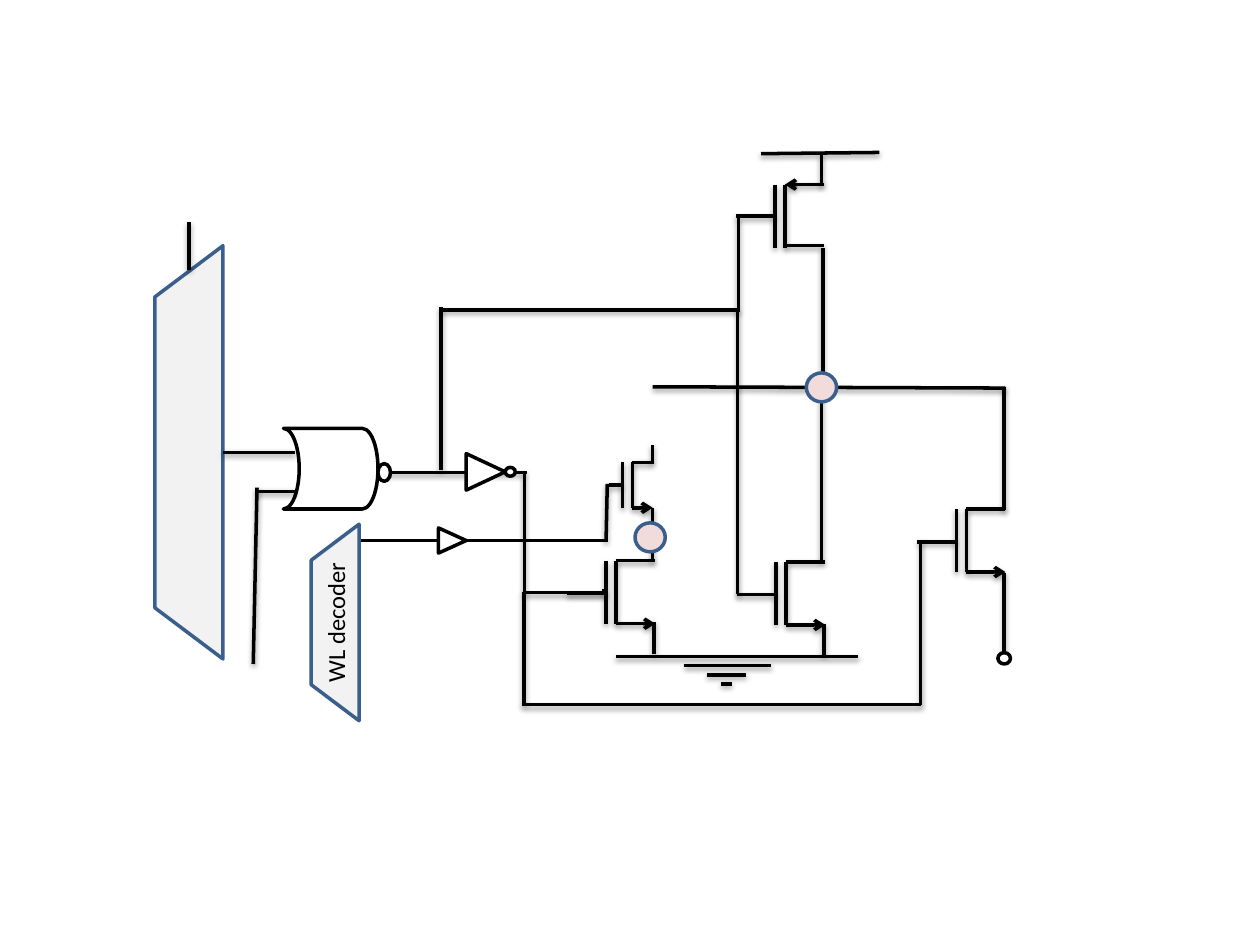
from lxml.etree import SubElement
from pptx import Presentation
from pptx.dml.color import RGBColor
from pptx.enum.shapes import MSO_CONNECTOR, MSO_SHAPE
from pptx.enum.text import MSO_AUTO_SIZE, PP_ALIGN
from pptx.oxml.ns import qn
from pptx.util import Inches, Pt

BLACK = RGBColor(0x00, 0x00, 0x00)
WHITE = RGBColor(0xFF, 0xFF, 0xFF)
GREY = RGBColor(0xF2, 0xF2, 0xF2)
PINK = RGBColor(0xF2, 0xDC, 0xDB)
BLUE = RGBColor(0x3A, 0x5F, 0x8C)

COLUMNS, ROWS = 100, 75


class Circuit:
    font = "Calibri"
    text_size = Pt(14)
    stroke = Pt(2)

    def __init__(self, deck):
        self.page = deck.slides.add_slide(deck.slide_layouts[6])
        self.column = deck.slide_width / COLUMNS
        self.row = deck.slide_height / ROWS

    def place(self, *lengths):
        units = (self.column, self.row) * 2
        return [round(length * unit) for length, unit in zip(lengths, units)]

    def wire(self, *ends, kind=MSO_CONNECTOR.STRAIGHT, arrow=False, shadow=True):
        wire = self.page.shapes.add_connector(kind, *self.place(*ends))
        wire.line.color.rgb = BLACK
        wire.line.width = self.stroke
        properties = wire.element.spPr
        if arrow:
            SubElement(properties.find(qn("a:ln")), qn("a:tailEnd"), type="arrow")
        effects = SubElement(properties, qn("a:effectLst"))
        if shadow:
            outer = SubElement(effects, qn("a:outerShdw"), blurRad=str(Pt(3.1)),
                               dist=str(Pt(1.6)), dir="5400000", rotWithShape="0")
            color = SubElement(outer, qn("a:srgbClr"), val=str(BLACK))
            SubElement(color, qn("a:alpha"), val="38000")
        return wire

    def elbow(self, *ends, bend, rotation=0):
        properties = self.wire(*ends, kind=MSO_CONNECTOR.ELBOW).element.spPr
        guides = properties.find(qn("a:prstGeom")).find(qn("a:avLst"))
        SubElement(guides, qn("a:gd"), name="adj1", fmla=f"val {round(bend * 100000)}")
        if rotation:
            properties.find(qn("a:xfrm")).set("rot", str(rotation * 60000))

    def symbol(self, kind, *frame, fill=WHITE, line=BLACK, rotation=0, flip=False):
        symbol = self.page.shapes.add_shape(kind, *self.place(*frame))
        symbol.shadow.inherit = False
        symbol.fill.solid()
        symbol.fill.fore_color.rgb = fill
        symbol.line.color.rgb = line
        symbol.line.width = self.stroke
        symbol.rotation = rotation
        if flip:
            symbol.element.spPr.find(qn("a:xfrm")).set("flipH", "1")
        return symbol

    def decoder(self, *frame):
        block = self.symbol(MSO_SHAPE.TRAPEZOID, *frame, fill=GREY, line=BLUE, rotation=270)
        block.adjustments[0] = 0.752

    def node(self, left, top):
        self.symbol(MSO_SHAPE.OVAL, left, top, 2.4, 2.3, fill=PINK, line=BLUE)

    def label(self, text, *frame):
        box = self.page.shapes.add_textbox(*self.place(*frame))
        box.rotation = 270
        text_frame = box.text_frame
        text_frame.word_wrap = True
        text_frame.auto_size = MSO_AUTO_SIZE.SHAPE_TO_FIT_TEXT
        text_frame.text = text
        para = text_frame.paragraphs[0]
        para.alignment = PP_ALIGN.LEFT
        para.font.name = self.font
        para.font.size = self.text_size
        para.font.color.rgb = BLACK

    def transistor(self, x, top, height=5, reach=3.1, gate=3.1, gate_drop=2.6, p_type=False):
        bottom = top + height
        plate = x - 0.8
        self.wire(x, top, x, bottom)
        if p_type:
            self.wire(x + reach, top, x, top, arrow=True)
            self.wire(x, bottom - 0.15, x + reach, bottom - 0.15)
        else:
            self.wire(x, bottom, x + reach, bottom, arrow=True)
            self.wire(x, top, x + reach, top)
        self.wire(plate, top, plate, bottom)
        self.wire(plate - gate, top + gate_drop, plate, top + gate_drop)


def main():
    deck = Presentation()
    deck.slide_width, deck.slide_height = Inches(10), Inches(7.5)
    circuit = Circuit(deck)

    circuit.wire(48, 42.9, 28.2, 42.9, shadow=False)
    circuit.symbol(MSO_SHAPE.ISOSCELES_TRIANGLE, 34.9, 41.8, 2, 2.2, rotation=90)
    circuit.decoder(18.8, 47.5, 15.6, 3.8)
    circuit.label("WL decoder", 19.7, 46.5, 13.9, 3.4)
    circuit.wire(30.6, 37.5, 41.8, 37.5)

    circuit.transistor(50.2, 36.7, height=3.6, reach=1.6, gate=1.1, gate_drop=1.8)
    circuit.wire(51.8, 36.8, 51.8, 35.3)
    circuit.wire(51.8, 40.3, 51.8, 44.6)
    circuit.transistor(48.9, 44.5)
    circuit.wire(51.9, 49.4, 51.9, 51.9)
    circuit.transistor(62.4, 44.6)
    circuit.wire(65.4, 49.5, 65.4, 52)
    circuit.node(50.4, 41.5)

    circuit.transistor(62.3, 14.65, gate_drop=2.5, p_type=True)
    circuit.wire(65.3, 19.7, 65.3, 29.5)
    circuit.wire(65.2, 12.2, 65.2, 14.7)
    circuit.wire(65.2, 29.5, 65.2, 44.5)
    circuit.wire(51.8, 30.7, 79.8, 30.8)
    circuit.node(64, 29.6)

    ground_bars = [(48.9, 68.1), (54.3, 61.2), (56.1, 59.2), (57.2, 58.1)]
    for level, (start, end) in enumerate(ground_bars):
        height = 52.1 + 0.73 * level
        circuit.wire(start, height, end, height)
    circuit.wire(60.4, 12.2, 69.8, 12.1)

    circuit.wire(79.7, 30.7, 79.7, 40.5)
    circuit.wire(79.7, 45.5, 79.7, 51.9)
    circuit.transistor(76.7, 40.4)
    circuit.symbol(MSO_SHAPE.OVAL, 79.2, 51.8, 1, 0.9)

    circuit.decoder(-1.4, 33.2, 32.8, 5.4)
    circuit.wire(17.7, 35.9, 23.4, 35.9)
    circuit.symbol(MSO_SHAPE.ISOSCELES_TRIANGLE, 37.1, 35.9, 2.9, 3.1, rotation=90)
    circuit.symbol(MSO_SHAPE.FLOWCHART_CONNECTOR, 40.1, 37.1, 0.8, 0.7)

    circuit.elbow(49.4, 39, 40.2, 45.3, bend=1.031, rotation=270)
    circuit.elbow(41.4, 55.9, 73, 43, bend=1.002)
    circuit.wire(41.6, 55.9, 41.6, 47)
    circuit.elbow(58.6, 47.1, 35, 24.6, bend=0.003)
    circuit.wire(35, 24.4, 35, 37.3)
    circuit.wire(15, 21.4, 15, 17.6)

    circuit.symbol(MSO_SHAPE.FLOWCHART_STORED_DATA, 22.5, 34, 7.5, 6.4, flip=True)
    circuit.symbol(MSO_SHAPE.FLOWCHART_CONNECTOR, 30, 36.8, 1, 1.4, flip=True)
    circuit.wire(23.5, 39, 20.3, 39)
    circuit.wire(20.1, 52.7, 20.4, 38.7)
    circuit.wire(48.1, 43, 48.2, 38.4)
    circuit.wire(58.6, 17.3, 58.6, 24.8)

    deck.save("out.pptx")


if __name__ == "__main__":
    main()
